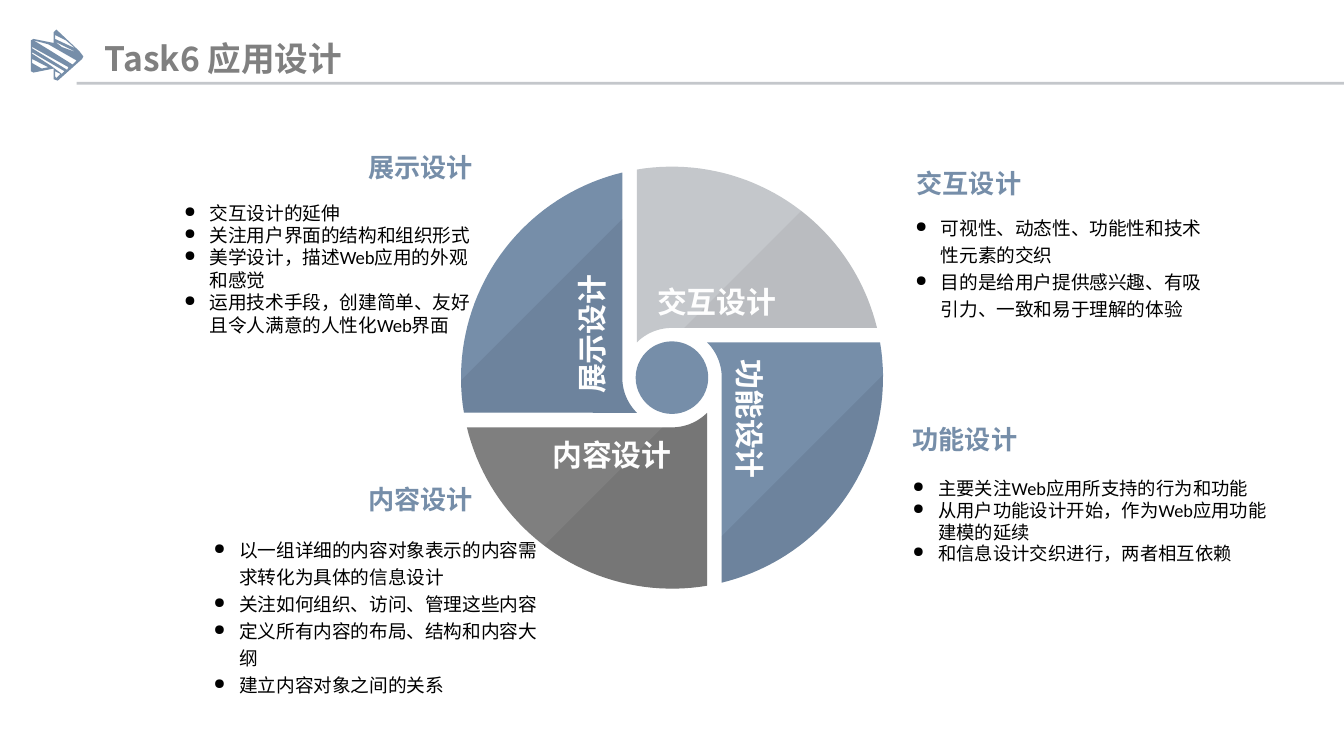
import math

from lxml import etree
from pptx import Presentation
from pptx import util as u
from pptx.dml.color import RGBColor
from pptx.enum import shapes, text
from pptx.oxml import ns

COLORS = {
    "blue": "768EA9",
    "silver": "C4C7CB",
    "gray": "7F7F7F",
    "title": "808080",
    "label": "FEFEFE",
    "black": "000000",
}
CENTER = (5, 2.81)
RADIUS = 1.57
HUB_RADIUS = 0.37
BLADES = [
    ("blue", 6.26, 7),
    ("silver", 7.53, 5),
    ("blue", 9.36, 7),
    ("gray", 8.11, 7),
]
LABELS = [
    ("展示设计", (3.87, 2.24, 1.07, 0.35), 270),
    ("交互设计", (4.87, 2.07, 1.37, 0.35), 0),
    ("功能设计", (5.05, 3.02, 1.07, 0.34), 90),
    ("内容设计", (4.09, 3.21, 1.15, 0.35), 0),
]
LEFT_INSETS = (0, 0, 0.39, 0)
RIGHT_INSETS = (0.39, 0, 0, 0)
SECTIONS = [
    ("展示设计", (2, 1.12, 1.91, 0.25), (1.37, 1.77, 2.58, 0.46), LEFT_INSETS, 10, 1,
     ["交互设计的延伸", "关注用户界面的结构和组织形式", "美学设计，描述Web应用的外观和感觉",
      "运用技术手段，创建简单、友好且令人满意的人性化Web界面"]),
    ("内容设计", (2, 3.59, 1.91, 0.25), (1.59, 4.35, 2.89, 0.46), LEFT_INSETS, 10, 1.2,
     ["以一组详细的内容对象表示的内容需求转化为具体的信息设计", "关注如何组织、访问、管理这些内容",
      "定义所有内容的布局、结构和内容大纲", "建立内容对象之间的关系"]),
    ("交互设计", (6.43, 1.24, 1.76, 0.25), (6.42, 1.75, 2.65, 0.46), RIGHT_INSETS, 10, 1.2,
     ["可视性、动态性、功能性和技术性元素的交织", "目的是给用户提供感兴趣、有吸引力、一致和易于理解的体验"]),
    ("功能设计", (6.4, 3.09, 1.81, 0.36), (6.4, 3.51, 3.05, 0.73), RIGHT_INSETS, 9.8, 1,
     ["主要关注Web应用所支持的行为和功能", "从用户功能设计开始，作为Web应用功能建模的延续",
      "和信息设计交织进行，两者相互依赖"]),
]
ARROW_OUTLINE = [(0.23, 0.3), (0.25, 0.29), (0.4, 0.32), (0.4, 0.24), (0.42, 0.22),
                 (0.59, 0.38), (0.62, 0.42), (0.61, 0.44), (0.43, 0.6), (0.4, 0.59),
                 (0.4, 0.51), (0.25, 0.54), (0.23, 0.53)]
ARROW_GAPS = [
    [(0.41, 0.29), (0.41, 0.26), (0.49, 0.3), (0.56, 0.36)],
    [(0.41, 0.31), (0.57, 0.39), (0.46, 0.35)],
    [(0.25, 0.3), (0.36, 0.33), (0.57, 0.45), (0.54, 0.48), (0.38, 0.38)],
    [(0.24, 0.35), (0.51, 0.5), (0.5, 0.52), (0.24, 0.36)],
    [(0.24, 0.39), (0.48, 0.53), (0.46, 0.55), (0.38, 0.49), (0.24, 0.4)],
    [(0.24, 0.44), (0.36, 0.5), (0.31, 0.51), (0.24, 0.47)],
    [(0.41, 0.53), (0.45, 0.55), (0.42, 0.58), (0.41, 0.57)],
]


def paint(shape, color, alpha=None):
    shape.shadow.inherit = False
    shape.line.fill.background()
    shape.fill.solid()
    shape.fill.fore_color.rgb = RGBColor.from_string(COLORS[color])
    if alpha is not None:
        tint = shape._element.spPr.find(".//" + ns.qn("a:srgbClr"))
        etree.SubElement(tint, ns.qn("a:alpha")).set("val", str(alpha * 1000))


def add_preset(page, kind, area, color):
    shape = page.shapes.add_shape(kind, *map(u.Inches, area))
    paint(shape, color)


def add_outline(page, contours, color, alpha=None):
    contours = [[(u.Inches(x), u.Inches(y)) for x, y in points] for points in contours]
    builder = page.shapes.build_freeform(*contours[0][0])
    for number, points in enumerate(contours):
        if number:
            builder.move_to(*points[0])
        builder.add_line_segments(points[1:], close=True)
    paint(builder.convert_to_shape(), color, alpha)


def arc(radius, start, end, steps=40):
    angles = [math.radians(start + (end - start) * i / steps) for i in range(steps + 1)]
    return [(CENTER[0] + radius * math.cos(a), CENTER[1] + radius * math.sin(a)) for a in angles]


def blade_points(turn):
    return arc(RADIUS, 256.37 + turn, 170.41 + turn) + arc(HUB_RADIUS, 135 + turn, 180 + turn)


def clip_below(points, limit):
    kept = []
    for (x1, y1), (x2, y2) in zip(points, points[1:] + points[:1]):
        before, after = x1 + y1 - limit, x2 + y2 - limit
        if before >= 0:
            kept.append((x1, y1))
        if before * after < 0:
            share = before / (before - after)
            kept.append((x1 + (x2 - x1) * share, y1 + (y2 - y1) * share))
    return kept


def set_frame(box, insets, wrap):
    frame = box.text_frame
    frame.auto_size = text.MSO_AUTO_SIZE.NONE
    frame.word_wrap = wrap
    frame.vertical_anchor = text.MSO_ANCHOR.MIDDLE
    frame.margin_left, frame.margin_top, frame.margin_right, frame.margin_bottom = map(u.Inches, insets)
    return frame


def format_para(para, size, color, bold=False, font="Calibri", align=text.PP_ALIGN.LEFT):
    para.alignment = align
    for span in para.runs:
        span.font.name = font
        span.font.size = u.Pt(size)
        span.font.bold = bold
        span.font.color.rgb = RGBColor.from_string(COLORS[color])


def add_line_text(page, words, area, insets, size, color, align=text.PP_ALIGN.LEFT, rotation=0):
    box = page.shapes.add_textbox(*map(u.Inches, area))
    box.rotation = rotation
    frame = set_frame(box, insets, False)
    frame.text = words
    format_para(frame.paragraphs[0], size, color, True, align=align)


def add_bullets(page, items, area, insets, size, spacing):
    box = page.shapes.add_textbox(*map(u.Inches, area))
    frame = set_frame(box, insets, True)
    frame.text = "\n".join(items)
    for para in frame.paragraphs:
        format_para(para, size, "black")
        para.line_spacing = spacing
        props = para._p.get_or_add_pPr()
        props.set("marL", str(u.Inches(0.19)))
        props.set("indent", str(-u.Inches(0.19)))
        etree.SubElement(props, ns.qn("a:buSzPct")).set("val", "80000")
        etree.SubElement(props, ns.qn("a:buChar")).set("char", "●")


def add_title(page, words):
    title = page.shapes.title
    title.left, title.top, title.width, title.height = map(u.Inches, (0.78, 0.22, 4.38, 0.42))
    frame = set_frame(title, (0, 0.05, 0, 0.05), True)
    frame.text = words
    format_para(frame.paragraphs[0], 18, "title", True, "Noto Sans CJK SC")


def add_pinwheel(page):
    for number, (color, limit, alpha) in enumerate(BLADES):
        points = blade_points(90 * number)
        add_outline(page, [points], color)
        add_outline(page, [clip_below(points, limit)], "black", alpha)
    add_preset(page, shapes.MSO_SHAPE.OVAL, (4.73, 2.54, 0.54, 0.54), "blue")
    for words, area, rotation in LABELS:
        add_line_text(page, words, area, (0.02, 0, 0.02, 0), 16, "label", rotation=rotation)


def main():
    deck = Presentation()
    deck.slide_width = u.Inches(10)
    deck.slide_height = deck.slide_width * 9 // 16
    page = deck.slides.add_slide(deck.slide_layouts[5])
    add_preset(page, shapes.MSO_SHAPE.RECTANGLE, (0.57, 0.61, 9.43, 0.02), "silver")
    add_outline(page, [ARROW_OUTLINE] + ARROW_GAPS, "blue")
    add_title(page, "Task6 应用设计")
    add_pinwheel(page)
    for heading, heading_area, list_area, insets, size, spacing, items in SECTIONS:
        align = text.PP_ALIGN.RIGHT if insets == LEFT_INSETS else text.PP_ALIGN.LEFT
        add_line_text(page, heading, heading_area, insets, 14, "blue", align)
        add_bullets(page, items, list_area, insets, size, spacing)
    deck.save("out.pptx")


if __name__ == "__main__":
    main()
